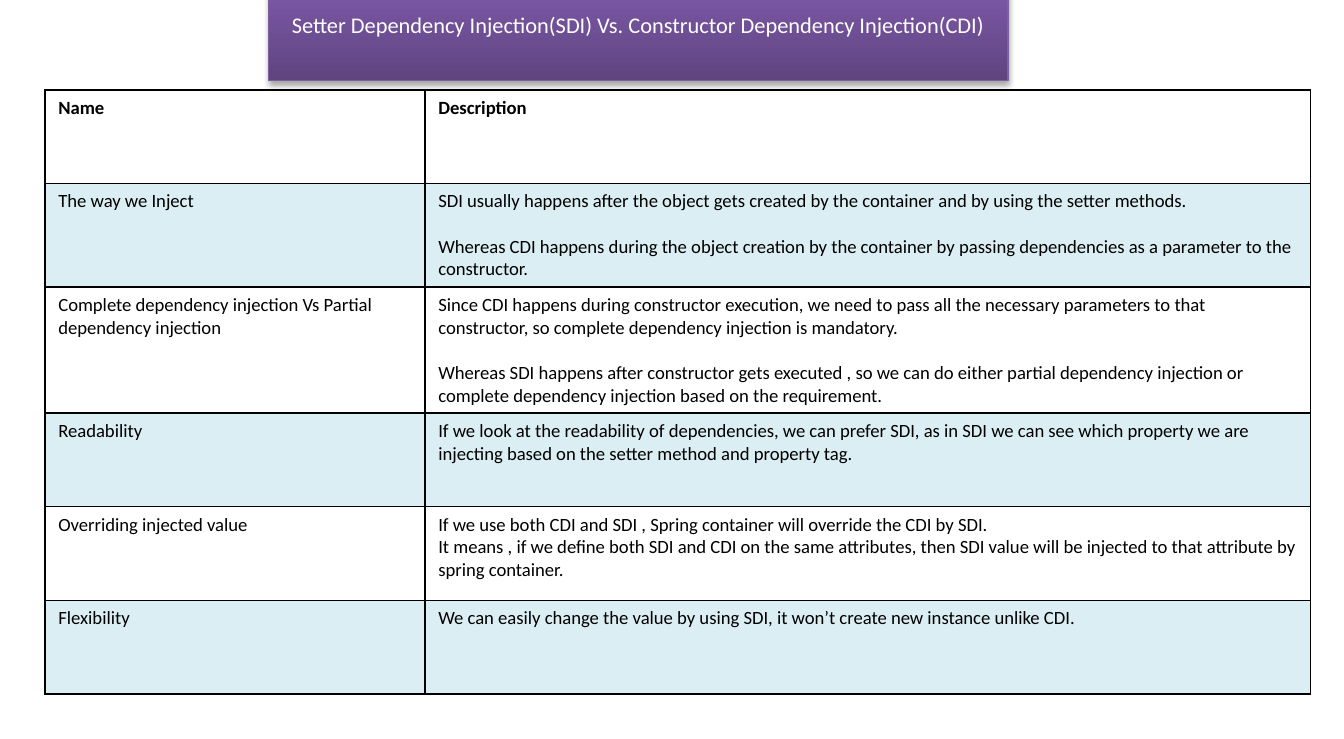
import lxml.etree
import pptx
import pptx.util
import pptx.dml.color
import pptx.enum.text
import pptx.oxml.ns
from pptx.util import Cm, Pt

# Content: each cell is a list of paragraphs
TITLE = "Setter Dependency Injection(SDI) Vs. Constructor Dependency Injection(CDI)"
ROWS = [
    (["Name"], ["Description"]),
    (["The way we Inject"],
     ["SDI usually happens after the object gets created by the container and by using the "
      "setter methods.",
      "Whereas CDI happens during the object creation by the container by passing dependencies "
      "as a parameter to the constructor."]),
    (["Complete dependency injection Vs Partial dependency injection"],
     ["Since CDI happens during constructor execution, we need to pass all the necessary "
      "parameters to that constructor, so complete dependency injection is mandatory.",
      "Whereas SDI happens after constructor gets executed , so we can do either partial "
      "dependency injection or complete dependency injection based on the requirement."]),
    (["Readability"],
     ["If we look at the readability of dependencies, we can prefer SDI, as in SDI we can see "
      "which property we are injecting based on the setter method and property tag."]),
    (["Overriding injected value"],
     ["If we use both CDI and SDI , Spring container will override the CDI by SDI.",
      "It means , if we define both SDI and CDI on the same attributes, then SDI value will be "
      "injected to that attribute by spring container."]),
    (["Flexibility"],
     ["We can easily change the value by using SDI, it won’t create new instance unlike CDI."]),
]
SPACED_ROWS = (1, 2)  # rows with a blank line's gap between paragraphs
COLUMN_WIDTHS = (Cm(7.18), Cm(16.74))
ROW_HEIGHT = Cm(1.77)
BORDER_SIDES = ("lnL", "lnR", "lnT", "lnB")


def color(value):
    return pptx.dml.color.RGBColor.from_string(value)


def add_element(parent, tag, **attributes):
    element = lxml.etree.SubElement(parent, pptx.oxml.ns.qn(tag))
    for name, value in attributes.items():
        element.set(name, str(value))
    return element


def write_text(frame, paragraphs, size=10, fill="000000", bold=False, align=None, gap=0):
    for index, text in enumerate(paragraphs):
        paragraph = frame.paragraphs[0] if index == 0 else frame.add_paragraph()
        paragraph.alignment = align
        paragraph.space_before = Pt(gap if index else 0)
        run = paragraph.add_run()
        run.text = text
        run.font.name = "Calibri"
        run.font.size = Pt(size)
        run.font.bold = bold
        run.font.color.rgb = color(fill)


def add_shadow(shape):
    effects = add_element(shape.element.spPr, "a:effectLst")
    shadow = add_element(effects, "a:outerShdw", blurRad=Pt(3.1), dist=Pt(1.8),
                         dir=90 * 60000, rotWithShape=0)
    black = add_element(shadow, "a:srgbClr", val="000000")
    add_element(black, "a:alpha", val=35000)


def format_cell(cell, banded):
    properties = cell._tc.get_or_add_tcPr()
    for side in BORDER_SIDES:
        line = add_element(properties, f"a:{side}", w=Pt(1))
        add_element(add_element(line, "a:solidFill"), "a:srgbClr", val="000000")
    if banded:
        tint = add_element(add_element(properties, "a:solidFill"), "a:srgbClr", val="4BACC6")
        add_element(tint, "a:alpha", val=20000)
    else:
        add_element(properties, "a:noFill")


def format_title(title):
    title.left, title.top, title.width, title.height = Cm(5.08), Cm(0.08), Cm(13.97), Cm(0.77)
    title.fill.gradient()
    title.fill.gradient_angle = 90
    for stop, (position, value) in zip(title.fill.gradient_stops,
                                       [(0, "5F4480"), (0.8, "7B58A6")]):
        stop.position = position
        stop.color.rgb = color(value)
    title.line.color.rgb = color("7D60A0")
    title.line.width = Pt(0.75)
    add_shadow(title)
    frame = title.text_frame
    frame.word_wrap = True
    frame.auto_size = pptx.enum.text.MSO_AUTO_SIZE.SHAPE_TO_FIT_TEXT
    frame.vertical_anchor = pptx.enum.text.MSO_ANCHOR.MIDDLE
    write_text(frame, [TITLE], size=12, fill="FFFFFF", align=pptx.enum.text.PP_ALIGN.CENTER)


def add_comparison_table(slide):
    table = slide.shapes.add_table(
        len(ROWS), len(COLUMN_WIDTHS), Cm(0.85), Cm(1.7),
        sum(COLUMN_WIDTHS), ROW_HEIGHT * len(ROWS)).table
    table.first_row = table.horz_banding = False
    for column, width in zip(table.columns, COLUMN_WIDTHS):
        column.width = width
    for row_index, row in enumerate(ROWS):
        table.rows[row_index].height = ROW_HEIGHT
        for column_index, paragraphs in enumerate(row):
            cell = table.cell(row_index, column_index)
            write_text(cell.text_frame, paragraphs, bold=row_index == 0,
                       gap=12.2 if row_index in SPACED_ROWS else 0)
            format_cell(cell, banded=row_index % 2 == 1)


def main():
    presentation = pptx.Presentation()
    presentation.slide_width, presentation.slide_height = Cm(25.4), Cm(13.97)
    slide = presentation.slides.add_slide(presentation.slide_layouts[5])
    # Title banner
    format_title(slide.shapes.title)
    # Comparison table
    add_comparison_table(slide)
    presentation.save("out.pptx")


if __name__ == "__main__":
    main()
